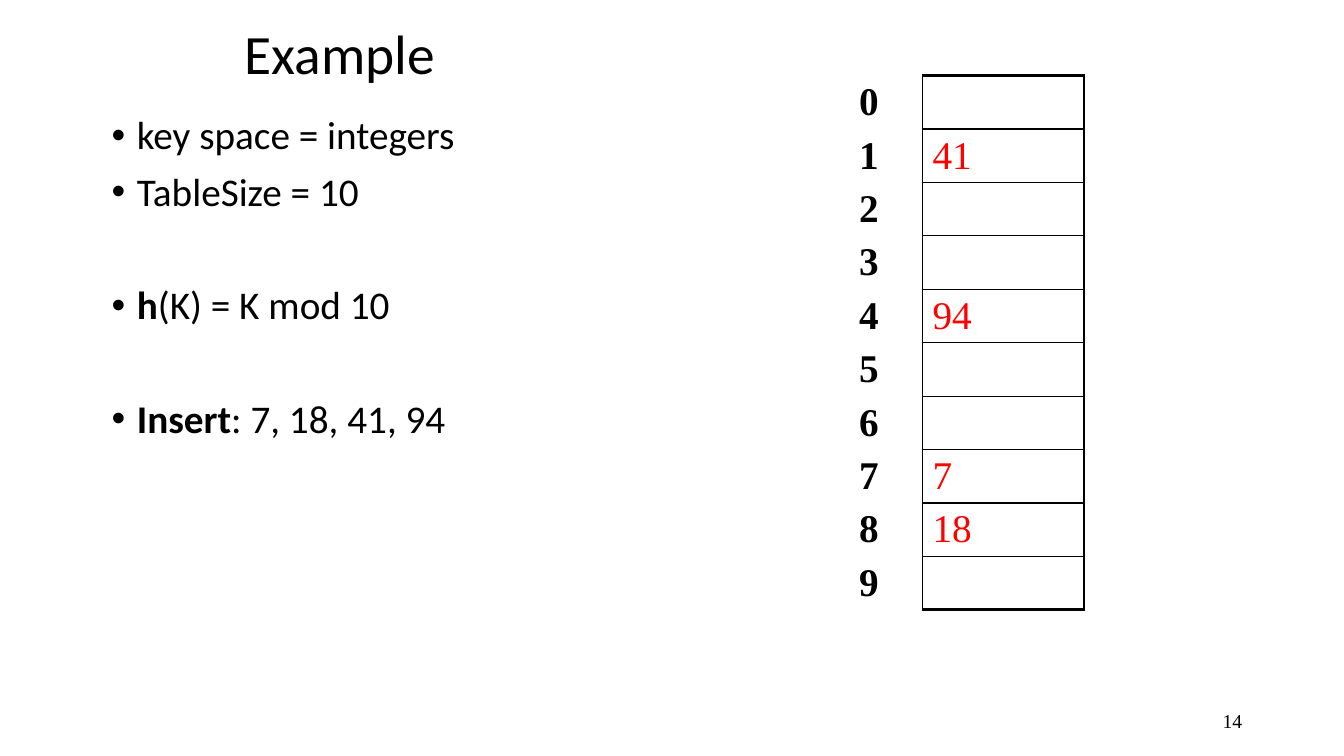
"""Build the hash table example slide."""
from lxml.etree import SubElement
from pptx import Presentation
from pptx.dml.color import RGBColor
from pptx.enum.text import MSO_ANCHOR, PP_ALIGN
from pptx.oxml.ns import qn
from pptx.util import Inches, Pt

THEME = {
    "body_font": "Calibri", "table_font": "Times New Roman",
    "black": "000000", "red": "FF0000",
    "title": 39.6, "body": 28, "number": 14, "thin": 1, "thick": 2.25,
}
TITLE = "Example"
PAGE_NUMBER = "14"
BULLETS = [
    ("", "key space = integers", False),
    ("", "TableSize = 10", False),
    ("h", "(K) = K mod 10", True),
    ("Insert", ": 7, 18, 41, 94", True),
]
TABLE_SIZE = 10
KEYS = [7, 18, 41, 94]
COLUMN_WIDTHS = (0.73, 1.6)
ROW_HEIGHT = 0.53
PARAGRAPH_GAP = 10
SECTION_GAP = 51


def style_run(run, font, size, color="black", bold=False):
    run.font.name = THEME[font]
    run.font.size = Pt(THEME[size])
    run.font.color.rgb = RGBColor.from_string(THEME[color])
    run.font.bold = bold


def add_text_frame(slide, left, top, width, height, anchor):
    box = slide.shapes.add_textbox(Inches(left), Inches(top), Inches(width), Inches(height))
    box.text_frame.word_wrap = True
    box.text_frame.vertical_anchor = anchor
    return box.text_frame


def add_line(slide, text, box, font, size, alignment):
    text_frame = add_text_frame(slide, *box, MSO_ANCHOR.MIDDLE)
    text_frame.text = text
    paragraph = text_frame.paragraphs[0]
    paragraph.alignment = alignment
    style_run(paragraph.runs[0], font, size)
    return paragraph


def add_bullets(slide):
    text_frame = add_text_frame(slide, 1.01, 1.1, 7.41, 4.96, MSO_ANCHOR.TOP)
    for index, (term, rest, starts_section) in enumerate(BULLETS):
        paragraph = text_frame.add_paragraph() if index else text_frame.paragraphs[0]
        paragraph.line_spacing = 0.9
        paragraph.space_before = Pt(SECTION_GAP if starts_section else PARAGRAPH_GAP)
        properties = paragraph._p.get_or_add_pPr()
        properties.set("marL", str(Inches(0.25)))
        properties.set("indent", str(Inches(-0.25)))
        SubElement(properties, qn("a:buFont"), typeface="Arial")
        SubElement(properties, qn("a:buChar"), char="•")
        for text, bold in ((term, True), (rest, False)):
            if text:
                run = paragraph.add_run()
                run.text = text
                style_run(run, "body_font", "body", bold=bold)


def set_borders(cell, borders):
    properties = cell._tc.get_or_add_tcPr()
    for position, (side, weight) in enumerate(borders.items()):
        line = SubElement(properties, qn(f"a:ln{side}"), w=str(Pt(THEME[weight])))
        fill = SubElement(line, qn("a:solidFill"))
        SubElement(fill, qn("a:srgbClr"), val=THEME["black"])
        properties.remove(line)
        properties.insert(position, line)


def fill_cell(cell, text, color, bold):
    cell.fill.background()
    cell.vertical_anchor = MSO_ANCHOR.MIDDLE
    cell.margin_top = cell.margin_bottom = Inches(0.03)
    cell.text = text
    for run in cell.text_frame.paragraphs[0].runs:
        style_run(run, "table_font", "body", color, bold)


def add_hash_table(slide):
    frame = slide.shapes.add_table(
        TABLE_SIZE, len(COLUMN_WIDTHS), Inches(8.42), Inches(0.75),
        Inches(sum(COLUMN_WIDTHS)), Inches(ROW_HEIGHT * TABLE_SIZE))
    table = frame.table
    table.first_row = table.horz_banding = False
    for column, width in zip(table.columns, COLUMN_WIDTHS):
        column.width = Inches(width)
    buckets = {key % TABLE_SIZE: str(key) for key in KEYS}
    for index, row in enumerate(table.rows):
        row.height = Inches(ROW_HEIGHT)
        label, bucket = row.cells
        fill_cell(label, str(index), "black", True)
        fill_cell(bucket, buckets.get(index, ""), "red", False)
        set_borders(label, {"R": "thin"})
        set_borders(bucket, {
            "L": "thin", "R": "thick",
            "T": "thick" if index == 0 else "thin",
            "B": "thick" if index == TABLE_SIZE - 1 else "thin",
        })


presentation = Presentation()
presentation.slide_width = Inches(13.33)
presentation.slide_height = Inches(7.5)
slide = presentation.slides.add_slide(presentation.slide_layouts[6])
add_line(slide, PAGE_NUMBER, (9.42, 6.95, 3, 0.4), "table_font", "number", PP_ALIGN.RIGHT)
title = add_line(slide, TITLE, (2.33, 0.19, 8.5, 0.75), "body_font", "title", PP_ALIGN.LEFT)
title.line_spacing = 0.9
add_bullets(slide)
add_hash_table(slide)
presentation.save("out.pptx")
